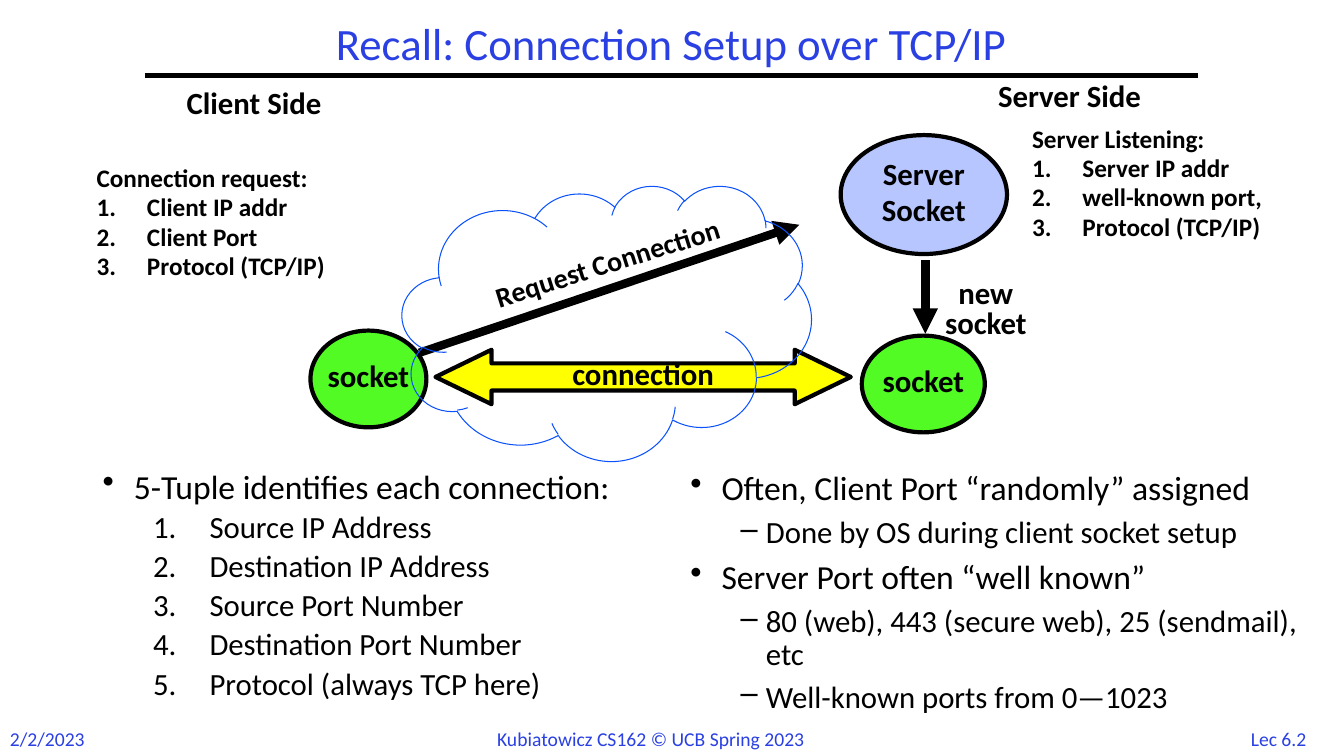
from dataclasses import dataclass

from lxml import etree
from pptx import Presentation
from pptx.dml.color import RGBColor
from pptx.enum.shapes import MSO_CONNECTOR, MSO_SHAPE
from pptx.enum.text import MSO_ANCHOR, MSO_AUTO_SIZE, PP_ALIGN
from pptx.oxml.ns import qn
from pptx.util import Inches, Pt

LEFT, CENTER = PP_ALIGN.LEFT, PP_ALIGN.CENTER
TOP, MIDDLE = MSO_ANCHOR.TOP, MSO_ANCHOR.MIDDLE
GROW, FIXED = MSO_AUTO_SIZE.SHAPE_TO_FIT_TEXT, MSO_AUTO_SIZE.NONE
OVAL, CLOUD = MSO_SHAPE.OVAL, MSO_SHAPE.CLOUD
ARROW = MSO_SHAPE.LEFT_RIGHT_ARROW
STRAIGHT = MSO_CONNECTOR.STRAIGHT
COLS, ROWS = 160, 90


@dataclass(frozen=True)
class Theme:
    font: str = "Calibri"
    ink: str = "000000"
    blue: str = "2A40E2"
    sky: str = "0B52FC"
    pale: str = "B7C6FE"
    green: str = "53FB25"
    yellow: str = "FFFF00"
    title: int = 32
    point: int = 24
    label: int = 22
    note: int = 20
    small: int = 18
    foot: int = 14
    thin: float = 0.75
    edge: int = 3
    bold: int = 6


@dataclass(frozen=True)
class Para:
    text: str
    size: int
    mark: str = ""
    margin: float = 0
    hang: float = 0
    level: int = 0


def assign(target, values):
    for name, value in values.items():
        setattr(target, name, value)


class Board:
    """Draws on one slide; places are in columns and rows of the grid."""

    def __init__(self, deck, theme):
        self.theme = theme
        self.slide = deck.slides.add_slide(deck.slide_layouts[6])
        self.shapes = self.slide.shapes
        self.col = deck.slide_width / COLS
        self.row = deck.slide_height / ROWS

    def place(self, *cells):
        """Turn alternating columns and rows into slide lengths."""
        return [round(cell * (self.row if i % 2 else self.col))
                for i, cell in enumerate(cells)]

    def letter(self, shape, paras, align=LEFT, anchor=TOP, wrap=False,
               fit=GROW, color=None, bold=True, pitch=0.8, gap=0.2):
        """Fill a shape with paragraphs; gap is a share of the type size."""
        frame = shape.text_frame
        assign(frame, {"word_wrap": wrap, "auto_size": fit,
                       "vertical_anchor": anchor})
        for i, para in enumerate(paras):
            line = frame.add_paragraph() if i else frame.paragraphs[0]
            assign(line, {"alignment": align, "line_spacing": pitch,
                          "level": para.level})
            if i:
                line.space_before = Pt(para.size * gap)
            if para.mark:
                self.bullet(line, para)
            run = line.add_run()
            run.text = para.text
            assign(run.font, {"name": self.theme.font, "bold": bold,
                              "size": Pt(para.size)})
            run.font.color.rgb = RGBColor.from_string(color or self.theme.ink)

    def bullet(self, line, para):
        props = line._p.get_or_add_pPr()
        props.set("marL", str(Inches(para.margin)))
        props.set("indent", str(-Inches(para.hang)))
        if para.mark == "1.":
            etree.SubElement(props, qn("a:buAutoNum"), type="arabicPeriod")
        else:
            etree.SubElement(props, qn("a:buChar"), char=para.mark)

    def text(self, spot, paras, turn=0, **style):
        box = self.shapes.add_textbox(*self.place(*spot))
        box.rotation = turn
        self.letter(box, paras, **style)

    def shape(self, kind, spot, words=(), fill=None, line=None, width=None,
              bends=()):
        item = self.shapes.add_shape(kind, *self.place(*spot))
        item.shadow.inherit = False
        for i, bend in enumerate(bends):
            item.adjustments[i] = bend
        if fill:
            item.fill.solid()
            item.fill.fore_color.rgb = RGBColor.from_string(fill)
        else:
            item.fill.background()
        self.stroke(item, line or self.theme.ink, width or self.theme.edge)
        if words:
            paras = [Para(word, self.theme.label) for word in words]
            self.letter(item, paras, CENTER, MIDDLE, fit=FIXED)

    def stroke(self, item, color, width):
        item.line.color.rgb = RGBColor.from_string(color)
        item.line.width = Pt(width)

    def link(self, ends, width, head=False):
        item = self.shapes.add_connector(STRAIGHT, *self.place(*ends))
        self.stroke(item, self.theme.ink, width)
        if head:
            etree.SubElement(item.line._get_or_add_ln(), qn("a:tailEnd"),
                             type="triangle")
        etree.SubElement(item._element.spPr, qn("a:effectLst"))


def main():
    deck = Presentation()
    deck.slide_width, deck.slide_height = Inches(13.333), Inches(7.5)
    look = Theme()
    board = Board(deck, look)

    feet = [((146.4, 85.92, 11.64, 4), "Lec 6.2", CENTER),
            ((0, 85.92, 11.5, 4), "2/2/2023", LEFT),
            ((58, 85.92, 44.16, 4), "Kubiatowicz CS162 © UCB Spring 2023", LEFT)]
    for spot, words, align in feet:
        board.text(spot, [Para(words, look.foot)], align=align,
                   color=look.blue, bold=False, pitch=1.0)
    board.link((17.28, 9, 142.68, 9), look.edge)
    board.text((17.28, 2, 125.28, 7),
               [Para("Recall: Connection Setup over TCP/IP", look.title)],
               align=CENTER, anchor=MIDDLE, wrap=True, fit=FIXED,
               color=look.blue, bold=False, pitch=0.9)

    board.shape(OVAL, (36.96, 39.36, 13.8, 11.52), ["socket"], look.green)
    lists = [((121.68, 14.76, 33.36, 15), "Server Listening:",
              ["Server IP addr", "well-known port,", "Protocol (TCP/IP)"]),
             ((10.32, 19.44, 33.36, 15), "Connection request:",
              ["Client IP addr", "Client Port", "Protocol (TCP/IP)"])]
    for spot, head, items in lists:
        board.text(spot, [Para(head, look.small)] + [
            Para(item, look.small, "1.", 0.5, 0.5) for item in items])

    board.shape(OVAL, (100.08, 16.08, 19.8, 14.16), ["Server", "Socket"],
                look.pale)
    board.link((110.16, 30.96, 110.16, 39.72), look.bold, True)
    board.text((110.28, 32.88, 14.16, 8.28),
               [Para(word, look.label) for word in ("new", "socket")],
               align=CENTER, gap=0)
    board.shape(OVAL, (102.6, 39.96, 14.64, 11.52), ["socket"], look.green)
    board.shape(ARROW, (51.84, 41.64, 49.44, 6.48), ["connection"],
                look.yellow, bends=(0.5, 1.03))
    board.text((54.84, 29.4, 35.16, 4.44),
               [Para("Request Connection", look.note)], 342.5, align=CENTER)
    board.link((49.92, 42, 95.16, 26.76), look.bold, True)
    sides = [((115.92, 9.36, 22.8, 4.68), "Server Side"),
             ((19.44, 10.2, 21.6, 4.68), "Client Side")]
    for spot, words in sides:
        board.text(spot, [Para(words, look.label)], align=CENTER)

    def point(words):
        return Para(words, look.point, "•", 0.31, 0.31)

    def dash(words):
        return Para(words, look.label, "–", 0.75, 0.25, 1)

    fields = ["Source IP Address", "Destination IP Address",
              "Source Port Number", "Destination Port Number",
              "Protocol (always TCP here)"]
    tuples = [point("5-Tuple identifies each connection:")] + [
        Para(field, look.label, "1.", 1.06, 0.56, 1) for field in fields]
    ports = [point("Often, Client Port “randomly” assigned"),
             dash("Done by OS during client socket setup"),
             point("Server Port often “well known”"),
             dash("80 (web), 443 (secure web), 25 (sendmail), etc"),
             dash("Well-known ports from 0—1023")]
    bodies = [((11.04, 55.56, 68.04, 32.4), tuples, 0.85, 0.25),
              ((81, 55.56, 74.64, 32.4), ports, 0.9, 0.3)]
    for spot, paras, pitch, gap in bodies:
        board.text(spot, paras, wrap=True, fit=FIXED, bold=False,
                   pitch=pitch, gap=gap)

    board.shape(CLOUD, (47.88, 22.08, 48.72, 32.76), line=look.sky,
                width=look.thin)
    deck.save("out.pptx")


if __name__ == "__main__":
    main()
